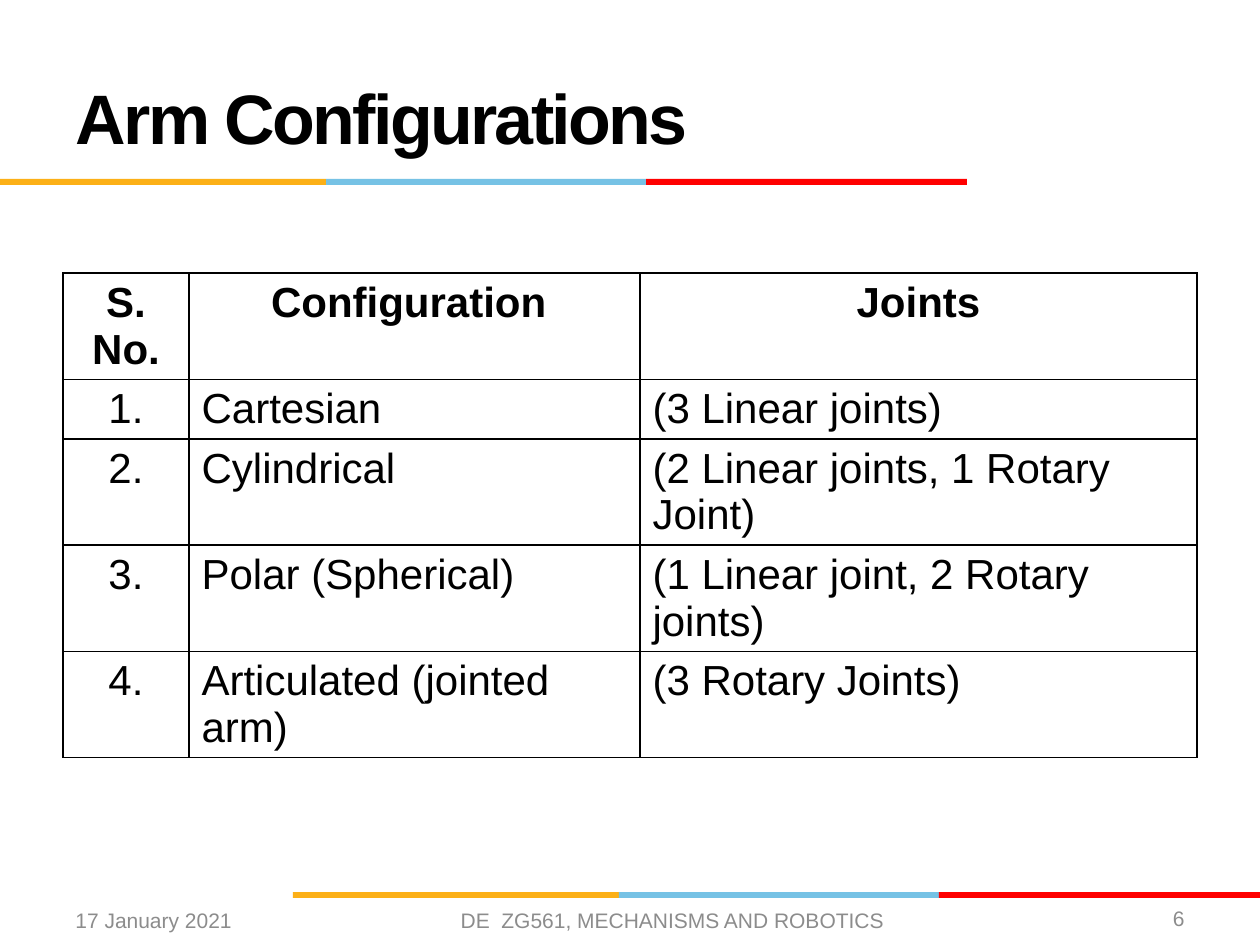
import pptx
import pptx.dml.color
import pptx.enum.shapes
import pptx.enum.text
import pptx.oxml
import pptx.oxml.ns
import pptx.util

SCALE = 914400 / 126
FONT = "Arial"
COLORS = {
    "gold": "FCB017",
    "blue": "76C2E5",
    "red": "FF0000",
    "black": "000000",
    "white": "FFFFFF",
    "gray": "8C8C8C",
}
ALIGN = pptx.enum.text.PP_ALIGN
MIDDLE = pptx.enum.text.MSO_ANCHOR.MIDDLE
ROWS = [
    ("S. No.", "Configuration ", "Joints"),
    ("1.", "Cartesian", "(3 Linear joints)"),
    ("2.", "Cylindrical", "(2 Linear joints, 1 Rotary Joint)"),
    ("3.", "Polar (Spherical)", "(1 Linear joint, 2 Rotary joints)"),
    ("4.", "Articulated (jointed arm)", "(3 Rotary Joints)"),
]
WIDTHS = (126, 451, 557)
ROW_HEIGHT = 52


def px(num):
    return pptx.util.Emu(round(num * SCALE))


def rgb(name):
    return pptx.dml.color.RGBColor.from_string(COLORS[name])


def write(frame, text, size=12, color="gray", bold=False, align=ALIGN.LEFT, track=0):
    para = frame.paragraphs[0]
    para.alignment = align
    run = para.add_run()
    run.text = text
    run.font.name = FONT
    run.font.size = pptx.util.Pt(size)
    run.font.bold = bold
    run.font.color.rgb = rgb(color)
    if track:
        run._r.get_or_add_rPr().set("spc", str(track))


def add_bar(slide, left, top):
    for name, width in (("gold", 326), ("blue", 320), ("red", 321)):
        rect = slide.shapes.add_shape(
            pptx.enum.shapes.MSO_SHAPE.RECTANGLE, px(left), px(top), px(width), px(6)
        )
        rect.shadow.inherit = False
        rect.fill.solid()
        rect.fill.fore_color.rgb = rgb(name)
        rect.line.fill.background()
        left += width


def add_title(slide, text):
    title = slide.shapes.title
    title.left, title.top = px(63), px(38)
    title.width, title.height = px(1134), px(158)
    frame = title.text_frame
    frame.auto_size = pptx.enum.text.MSO_AUTO_SIZE.NONE
    frame.vertical_anchor = MIDDLE
    write(frame, text, size=40, color="black", bold=True, track=-150)


def add_note(slide, text, left, top, width, height, align):
    box = slide.shapes.add_textbox(px(left), px(top), px(width), px(height))
    frame = box.text_frame
    frame.word_wrap = True
    frame.vertical_anchor = MIDDLE
    write(frame, text, align=align)


def add_border(cell):
    props = cell._tc.get_or_add_tcPr()
    for side in ("lnL", "lnR", "lnT", "lnB"):
        props.append(pptx.oxml.parse_xml(
            f'<a:{side} {pptx.oxml.ns.nsdecls("a")} w="12700"><a:solidFill>'
            f'<a:srgbClr val="{COLORS["black"]}"/></a:solidFill></a:{side}>'
        ))


def add_grid(slide, left, top):
    table = slide.shapes.add_table(
        len(ROWS), len(WIDTHS), px(left), px(top),
        px(sum(WIDTHS)), px(ROW_HEIGHT * len(ROWS)),
    ).table
    table.first_row = False
    table.horz_banding = False
    for col, width in zip(table.columns, WIDTHS):
        col.width = px(width)
    for i, texts in enumerate(ROWS):
        table.rows[i].height = px(ROW_HEIGHT)
        for j, text in enumerate(texts):
            cell = table.cell(i, j)
            add_border(cell)
            cell.fill.solid()
            cell.fill.fore_color.rgb = rgb("white")
            head = i == 0
            align = ALIGN.CENTER if head or j == 0 else ALIGN.LEFT
            write(cell.text_frame, text, size=24, color="black", bold=head, align=align)


def main():
    deck = pptx.Presentation()
    deck.slide_width, deck.slide_height = px(1260), px(945)
    slide = deck.slides.add_slide(deck.slide_layouts[5])
    add_bar(slide, 0, 179)
    add_bar(slide, 293, 892)
    add_title(slide, "Arm Configurations")
    add_grid(slide, 63, 273)
    add_note(slide, "17 January 2021", 63, 895, 294, 50, ALIGN.LEFT)
    add_note(slide, "DE  ZG561, MECHANISMS AND ROBOTICS", 431, 895, 483, 50, ALIGN.CENTER)
    add_note(slide, "6", 1050, 892, 147, 53, ALIGN.RIGHT)
    deck.save("out.pptx")


if __name__ == "__main__":
    main()
